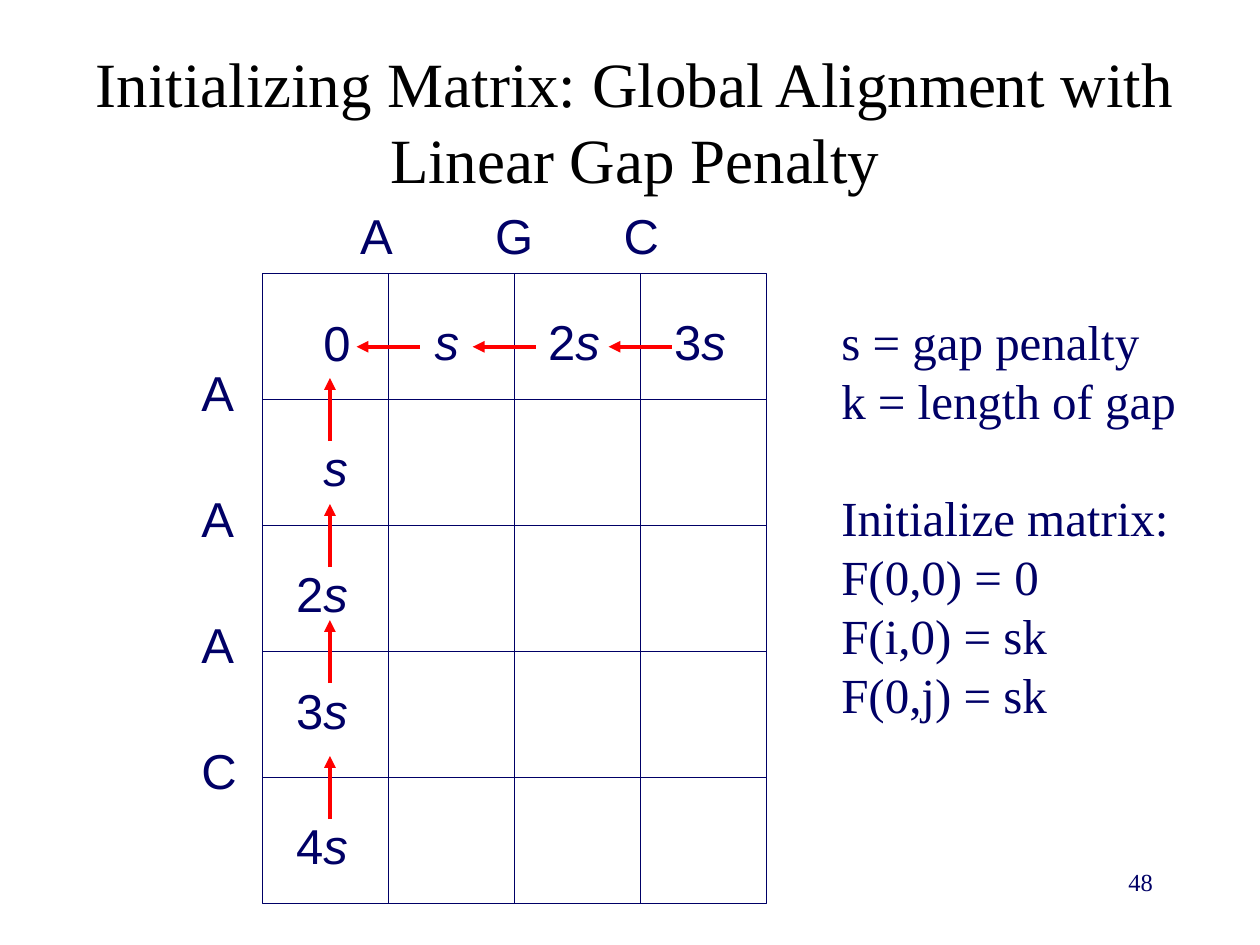
from lxml.etree import SubElement
from pptx import Presentation
from pptx.dml.color import RGBColor
from pptx.enum.shapes import MSO_CONNECTOR, MSO_SHAPE
from pptx.enum.text import MSO_ANCHOR, MSO_AUTO_SIZE, PP_ALIGN
from pptx.oxml.ns import qn
from pptx.util import Cm, Pt

NAVY, RED, BLACK = "000066", "FF0000", "000000"
CELL, GRID_LEFT, GRID_TOP = 2.54, 5.29, 5.5
ROWS, COLUMNS = 5, 4


def color(hex_value):
    return RGBColor.from_string(hex_value)


def add_text(left, top, width, height, lines, size, font="Times New Roman", ink=NAVY,
             align=PP_ALIGN.LEFT, wrap=True):
    box = slide.shapes.add_textbox(Cm(left), Cm(top), Cm(width), Cm(height))
    frame = box.text_frame
    frame.word_wrap = wrap
    frame.text = "\n".join(lines)
    for paragraph in frame.paragraphs:
        paragraph.alignment = align
        for run in paragraph.runs:
            run.font.size = Pt(size)
            run.font.name = font
            run.font.color.rgb = color(ink)
    return frame


prs = Presentation()
prs.slide_width, prs.slide_height = Cm(25.4), Cm(19.05)
slide = prs.slides.add_slide(prs.slide_layouts[6])

# Title
title = add_text(1.27, 0.84, 23.06, 3.18,
                 ["Initializing Matrix: Global Alignment with Linear Gap Penalty"],
                 36, ink=BLACK, align=PP_ALIGN.CENTER)
title.vertical_anchor = MSO_ANCHOR.MIDDLE

# Sequence letters along the top and the left side
letters = [("A", 7.01, 4.01), ("G", 9.73, 4.01), ("C", 12.32, 4.01)]
letters += [(base, 3.81, 7.19 + row * CELL) for row, base in enumerate("AAAC")]

# Initial scores in the first row and the first column
scores = [("0", 6.27, 6.17), ("s", 8.51, 6.15), ("2s", 10.8, 6.15), ("3s", 13.34, 6.15),
          ("s", 6.27, 8.69), ("2s", 5.72, 11.23), ("3s", 5.72, 13.59), ("4s", 5.72, 16.31)]

label_widths = {"A": 1.17, "C": 1.22, "G": 1.27, "0": 1.07, "s": 1.24}
for label, left, top in letters + scores:
    frame = add_text(left, top, label_widths.get(label, 1.75), 1.45, [label], 28,
                     font="Arial", wrap=False)
    frame.auto_size = MSO_AUTO_SIZE.SHAPE_TO_FIT_TEXT
    if label.endswith("s"):
        paragraph = frame.paragraphs[0]
        paragraph.runs[0].text = label[:-1] or "s"
        if len(label) > 1:
            gap_symbol = paragraph.add_run()
            gap_symbol.text = "s"
            gap_symbol.font.size = Pt(28)
            gap_symbol.font.name = "Arial"
            gap_symbol.font.color.rgb = color(NAVY)
        paragraph.runs[-1].font.italic = True

# Matrix cells
for row in range(ROWS):
    for column in range(COLUMNS):
        cell = slide.shapes.add_shape(
            MSO_SHAPE.RECTANGLE, Cm(GRID_LEFT + column * CELL), Cm(GRID_TOP + row * CELL),
            Cm(CELL), Cm(CELL))
        cell.shadow.inherit = False
        cell.fill.background()
        cell.line.color.rgb = color(NAVY)
        cell.line.width = Pt(0.25)

# Traceback arrows: upwards in the first column, leftwards in the first row
ARROW = 1.27
arrows = [(6.65, start, 6.65, start - ARROW) for start in (8.89, 11.43, 13.77, 16.51)]
arrows += [(start, 6.99, start - ARROW, 6.99) for start in (8.46, 13.54, 10.8)]
for ends in arrows:
    arrow = slide.shapes.add_connector(MSO_CONNECTOR.STRAIGHT, *map(Cm, ends))
    arrow.line.color.rgb = color(RED)
    arrow.line.width = Pt(2.25)
    SubElement(arrow.line._get_or_add_ln(), qn("a:tailEnd"), type="triangle")
    SubElement(arrow._element.spPr, qn("a:effectLst"))

# Page number
add_text(18.21, 17.35, 5.28, 1.27, ["48"], 14, align=PP_ALIGN.RIGHT)

# Definitions and initialization rules
rules = add_text(16.71, 6.15, 7.49, 8.64,
                 ["s = gap penalty", "k = length of gap", "Initialize matrix:",
                  "F(0,0) = 0", "F(i,0) = sk", "F(0,j) = sk"], 28)
rules.auto_size = MSO_AUTO_SIZE.SHAPE_TO_FIT_TEXT
rules.paragraphs[2].space_before = Pt(33.5)

prs.save("out.pptx")
